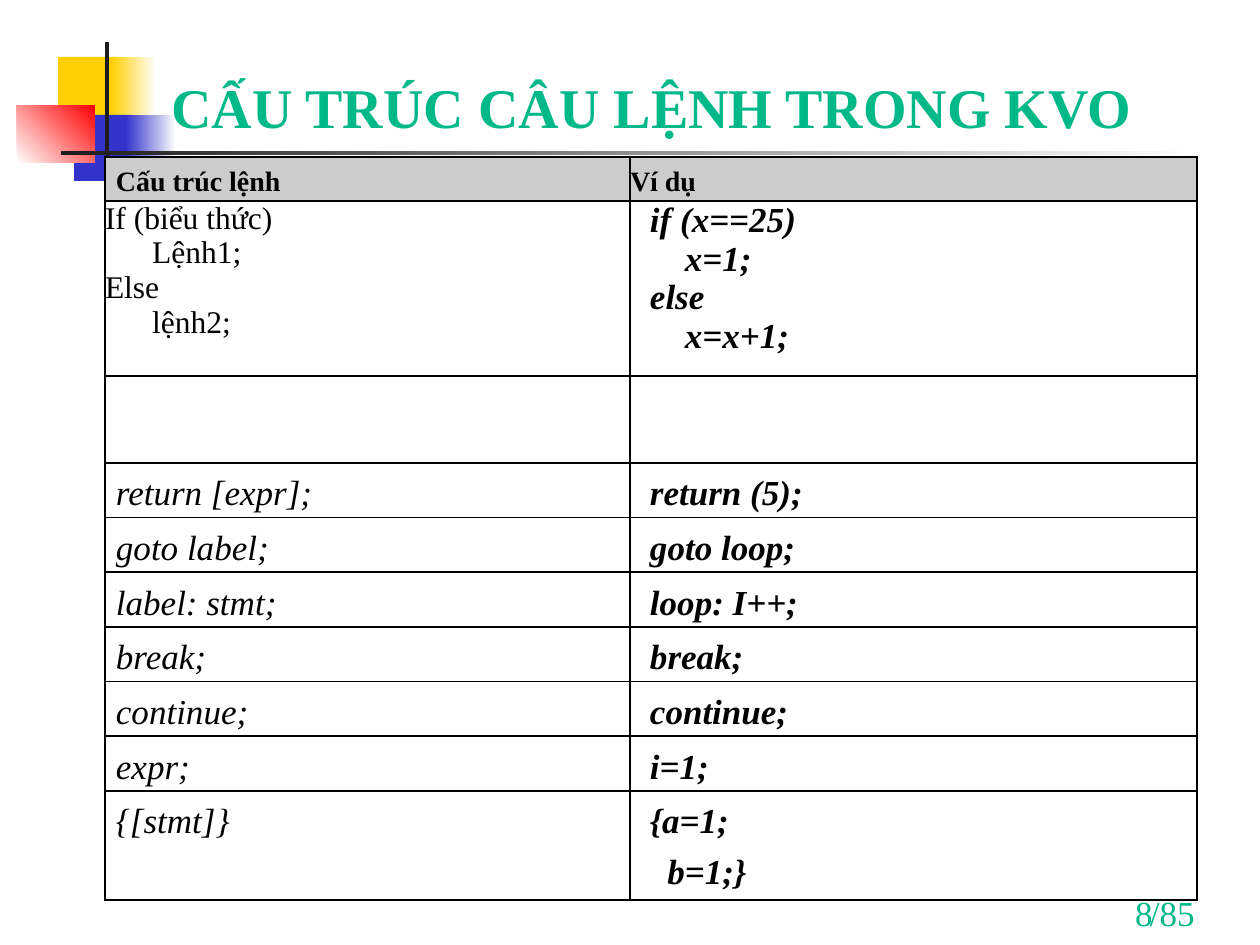
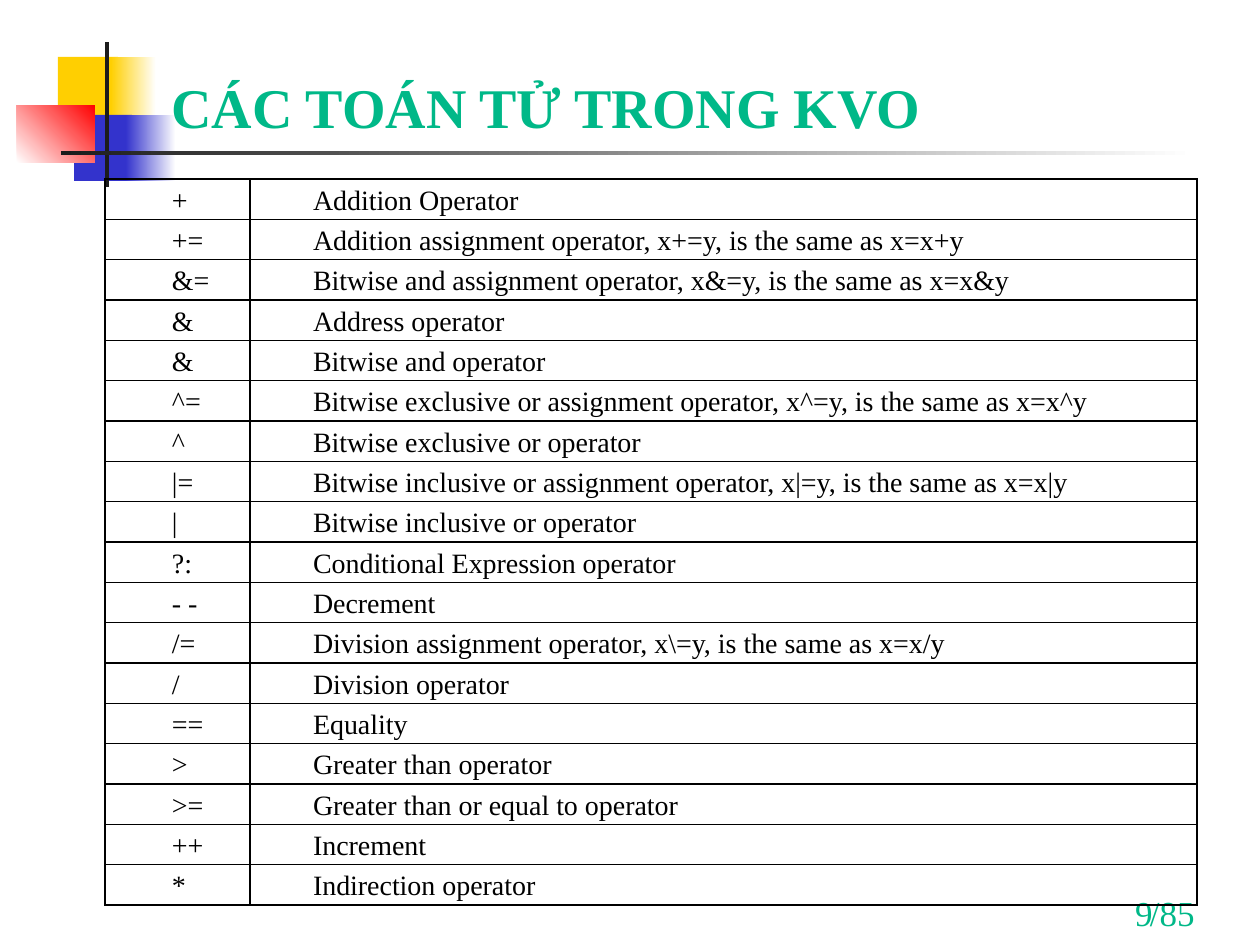
"""Build two lecture slides on the statements and operators of a C compiler."""
from collections import namedtuple
from dataclasses import dataclass

from lxml import etree
from pptx import Presentation
from pptx.dml.color import RGBColor
from pptx.enum.shapes import MSO_SHAPE
from pptx.enum.text import MSO_ANCHOR, PP_ALIGN
from pptx.oxml.ns import qn
from pptx.util import Emu, Pt


@dataclass(frozen=True)
class Theme:
    font: str = "Times New Roman"
    green: str = "00B888"
    gold: str = "FFCF01"
    blue: str = "3333CC"
    red: str = "FF0000"
    dark: str = "1C1C1C"
    white: str = "FFFFFF"
    black: str = "000000"
    gray: str = "CCCCCC"
    title: int = 32
    code: int = 20
    plain: int = 18
    small: int = 16


T = Theme()
PX = 914400 / 126
LEFT, RIGHT, JUST = PP_ALIGN.LEFT, PP_ALIGN.RIGHT, PP_ALIGN.JUSTIFY

Style = namedtuple("Style", "size bold slant inset space align fill")
HEAD = Style(T.small, True, False, 11, 1.3, JUST, T.gray)
HEAD2 = HEAD._replace(inset=0)
FORM = Style(T.code, False, True, 11, 1.3, JUST, None)
CODE = FORM._replace(bold=True, inset=20)
BLOCK = CODE._replace(space=1.0)
PLAIN = Style(T.plain, False, False, 0, 1.0, LEFT, None)
SIGN = Style(T.small, False, False, 67, 1.2, JUST, None)
SENSE = SIGN._replace(inset=63)

BARS = [
    ((58, 57, 60, 66), T.gold, T.gold, 0),
    ((111, 57, 45, 66), T.gold, T.white, 0),
    ((74, 115, 58, 66), T.blue, T.blue, 0),
    ((126, 115, 50, 66), T.blue, T.white, 0),
    ((17, 105, 78, 58), T.white, T.red, 45),
    ((105, 42, 4, 145), T.dark, T.dark, 0),
    ((61, 151, 1134, 4), T.dark, T.white, 0),
]

FORMS = [
    ("return [expr];", "return (5);"),
    ("goto label;", "goto loop;"),
    ("label: stmt;", "loop: I++;"),
    ("break;", "break;"),
    ("continue;", "continue;"),
    ("expr;", "i=1;"),
    ("{[stmt]}", "{a=1;\n  b=1;}"),
]
SIGNS = [
    ("+", "Addition Operator"),
    ("+=", "Addition assignment operator, x+=y, is the same as x=x+y"),
    ("&=", "Bitwise and assignment operator, x&=y, is the same as x=x&y"),
    ("&", "Address operator"),
    ("&", "Bitwise and operator"),
    ("^=", "Bitwise exclusive or assignment operator, x^=y, is the same as x=x^y"),
    ("^", "Bitwise exclusive or operator"),
    ("|=", "Bitwise inclusive or assignment operator, x|=y, is the same as x=x|y"),
    ("|", "Bitwise inclusive or operator"),
    ("?:", "Conditional Expression operator"),
    ("- -", "Decrement"),
    ("/=", "Division assignment operator, x\\=y, is the same as x=x/y"),
    ("/", "Division operator"),
    ("==", "Equality"),
    (">", "Greater than operator"),
    (">=", "Greater than or equal to operator"),
    ("++", "Increment"),
    ("*", "Indirection operator"),
]
BRANCH = (
    "If (biểu thức)\n      Lệnh1;\nElse\n      lệnh2;",
    "if (x==25)\n    x=1;\nelse\n    x=x+1;",
)


def scale(*sizes):
    return [Emu(round(size * PX)) for size in sizes]


def label(slide, box, text, size, align, bold=False):
    frame = slide.shapes.add_textbox(*scale(*box)).text_frame
    frame.word_wrap = True
    frame.vertical_anchor = MSO_ANCHOR.BOTTOM
    frame.text = text
    para = frame.paragraphs[0]
    para.alignment = align
    font = para.runs[0].font
    font.name, font.size, font.bold = T.font, Pt(size), bold
    font.color.rgb = RGBColor.from_string(T.green)


PAGES = [
    dict(
        num="8",
        title="CẤU TRÚC CÂU LỆNH TRONG KVO",
        top=157,
        cols=[525, 567],
        highs=[44, 175, 87] + [54] * 6 + [109],
        rows=[("Cấu trúc lệnh", "Ví dụ"), BRANCH, ("", "")] + FORMS,
        looks=[(HEAD, HEAD2), (PLAIN, BLOCK), (PLAIN, PLAIN)] + [(FORM, CODE)] * len(FORMS),
    ),
    dict(
        num="9",
        title="CÁC TOÁN TỬ TRONG KVO",
        top=179,
        cols=[145, 947],
        highs=[40] * len(SIGNS),
        rows=SIGNS,
        looks=[(SIGN, SENSE)] * len(SIGNS),
    ),
]

deck = Presentation()
deck.slide_width, deck.slide_height = scale(1260, 945)

for page in PAGES:
    slide = deck.slides.add_slide(deck.slide_layouts[6])

    for box, start, end, angle in BARS:
        bar = slide.shapes.add_shape(MSO_SHAPE.RECTANGLE, *scale(*box))
        bar.shadow.inherit = False
        bar.line.fill.background()
        if start == end:
            bar.fill.solid()
            bar.fill.fore_color.rgb = RGBColor.from_string(start)
        else:
            bar.fill.gradient()
            bar.fill.gradient_angle = angle
            for stop, tint in zip(bar.fill.gradient_stops, (start, end)):
                stop.color.rgb = RGBColor.from_string(tint)

    label(slide, (945, 877, 262, 63), "/85", T.code, RIGHT)
    label(slide, (159, 10, 1048, 136), page["title"], T.title, LEFT, True)
    label(slide, (903, 877, 262, 63), page["num"], T.code, RIGHT)

    rows, cols, highs = page["rows"], page["cols"], page["highs"]
    place = scale(105, page["top"], sum(cols), sum(highs))
    grid = slide.shapes.add_table(len(rows), len(cols), *place).table
    grid.first_row = grid.horz_banding = False
    for col, wide in zip(grid.columns, scale(*cols)):
        col.width = wide
    for row, high in zip(grid.rows, scale(*highs)):
        row.height = high

    for row, words, looks in zip(grid.rows, rows, page["looks"]):
        for cell, text, look in zip(row.cells, words, looks):
            cell.margin_left = scale(look.inset)[0]
            cell.margin_right = cell.margin_top = cell.margin_bottom = 0
            props = cell._tc.get_or_add_tcPr()
            for side in ("a:lnL", "a:lnR", "a:lnT", "a:lnB"):
                edge = etree.SubElement(props, qn(side), w=str(Pt(1)))
                ink = etree.SubElement(edge, qn("a:solidFill"))
                etree.SubElement(ink, qn("a:srgbClr"), val=T.black)
            if look.fill:
                cell.fill.solid()
                cell.fill.fore_color.rgb = RGBColor.from_string(look.fill)
            else:
                cell.fill.background()
            cell.text_frame.text = text
            for para in cell.text_frame.paragraphs:
                para.alignment = look.align
                para.line_spacing = look.space
                for run in para.runs:
                    font = run.font
                    font.name, font.size = T.font, Pt(look.size)
                    font.bold, font.italic = look.bold, look.slant
                    font.color.rgb = RGBColor.from_string(T.black)

deck.save("out.pptx")
